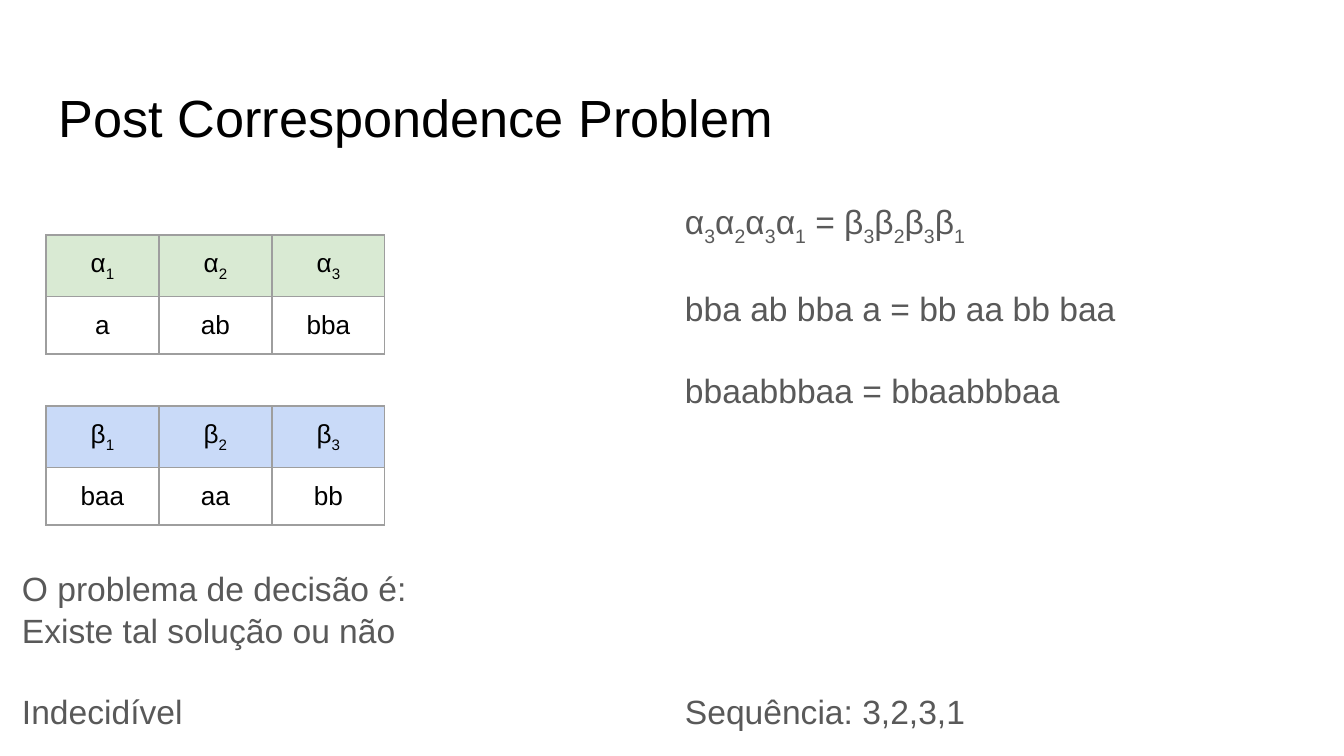
from dataclasses import dataclass

from lxml import etree
from pptx import Presentation, util as u
from pptx.dml.color import RGBColor
from pptx.enum import text
from pptx.oxml import ns


@dataclass(frozen=True)
class Theme:
    """Colours, font and type sizes of the slide."""
    font: str = "Arial"
    title: str = "000000"
    body: str = "595959"
    alpha: str = "D9EAD3"
    beta: str = "C9DAF8"
    border: str = "9E9E9E"
    title_size: int = 28
    body_size: int = 18
    cell_size: int = 14


THEME = Theme()
PX_PER_INCH = 134.4
INSET = 13
LINE = 40
LINE_SPACING = 1.035


def px(n):
    """Turn picture pixels into EMU."""
    return u.Emu(round(n * u.Inches(1) / PX_PER_INCH))


def add_runs(p, content, size, color):
    """Add text run by run; "_" lowers the one character after it."""
    head, *rest = content.split("_")
    pieces = [(head, False)]
    for part in rest:
        pieces += [(part[0], True), (part[1:], False)]
    for piece, lowered in pieces:
        if not piece:
            continue
        r = p.add_run()
        r.text = piece
        r.font.name = THEME.font
        r.font.size = u.Pt(size)
        r.font.color.rgb = RGBColor.from_string(color)
        if lowered:
            r.font._element.set("baseline", "-25000")


def add_text(s, box, lines, size, color, spacing=1.0, top=INSET):
    """Add a text box; each line is (text, blank lines' worth of gap above)."""
    tf = s.shapes.add_textbox(*map(px, box)).text_frame
    tf.word_wrap = True
    tf.vertical_anchor = text.MSO_ANCHOR.TOP
    tf.margin_left = tf.margin_right = tf.margin_bottom = px(INSET)
    tf.margin_top = px(top)
    for i, (content, gap) in enumerate(lines):
        p = tf.add_paragraph() if i else tf.paragraphs[0]
        p.line_spacing = spacing
        p.space_before = u.Pt(round(px(gap * LINE).pt, 1))
        add_runs(p, content, size, color)


def set_borders(cell):
    """Draw the four thin borders of a cell, ahead of its fill."""
    tcPr = cell._tc.get_or_add_tcPr()
    for i, side in enumerate(("lnL", "lnR", "lnT", "lnB")):
        ln = etree.Element(ns.qn("a:" + side), w=str(u.Pt(0.75)))
        fill = etree.SubElement(ln, ns.qn("a:solidFill"))
        etree.SubElement(fill, ns.qn("a:srgbClr"), val=THEME.border)
        tcPr.insert(i, ln)


def add_word_table(s, left, top, letter, words, header_fill):
    """Add a table of indexed letters above their words."""
    col, row = 113, 56
    rows = [[f"{letter}_{i}" for i in range(1, len(words) + 1)], words]
    frame = s.shapes.add_table(len(rows), len(words), px(left), px(top),
                               px(col * len(words)), px(row * len(rows)))
    table = frame.table
    table.first_row = table.horz_banding = False
    for column in table.columns:
        column.width = px(col)
    for i, contents in enumerate(rows):
        table.rows[i].height = px(row)
        for j, content in enumerate(contents):
            cell = table.cell(i, j)
            cell.margin_left = cell.margin_right = px(INSET)
            cell.margin_top = cell.margin_bottom = px(INSET)
            cell.vertical_anchor = text.MSO_ANCHOR.MIDDLE
            if i == 0:
                cell.fill.solid()
                cell.fill.fore_color.rgb = RGBColor.from_string(header_fill)
            else:
                cell.fill.background()
            set_borders(cell)
            p = cell.text_frame.paragraphs[0]
            p.alignment = text.PP_ALIGN.CENTER
            add_runs(p, content, THEME.cell_size, THEME.title)


def main():
    """Build the slide and save it."""
    prs = Presentation()
    prs.slide_width, prs.slide_height = px(1344), px(756)
    s = prs.slides.add_slide(prs.slide_layouts[6])

    add_text(s, (46, 66, 1253, 85), [("Post Correspondence Problem", 0)],
             THEME.title_size, THEME.title, top=19)
    add_word_table(s, 46, 235, "α", ["a", "ab", "bba"], THEME.alpha)
    add_word_table(s, 46, 406, "β", ["baa", "aa", "bb"], THEME.beta)

    solution = [("α_3α_2α_3α_1 = β_3β_2β_3β_1", 0),
                ("bba ab bba a = bb aa bb baa", 1),
                ("bbaabbbaa = bbaabbbaa", 1),
                ("Sequência: 3,2,3,1", 7)]
    decision = [("O problema de decisão é:", 0),
                ("Existe tal solução ou não", 0),
                ("Indecidível", 1)]
    for box, lines in (((672, 187, 672, 569), solution),
                       ((9, 554, 663, 192), decision)):
        add_text(s, box, lines, THEME.body_size, THEME.body, LINE_SPACING)
    prs.save("out.pptx")


main()
